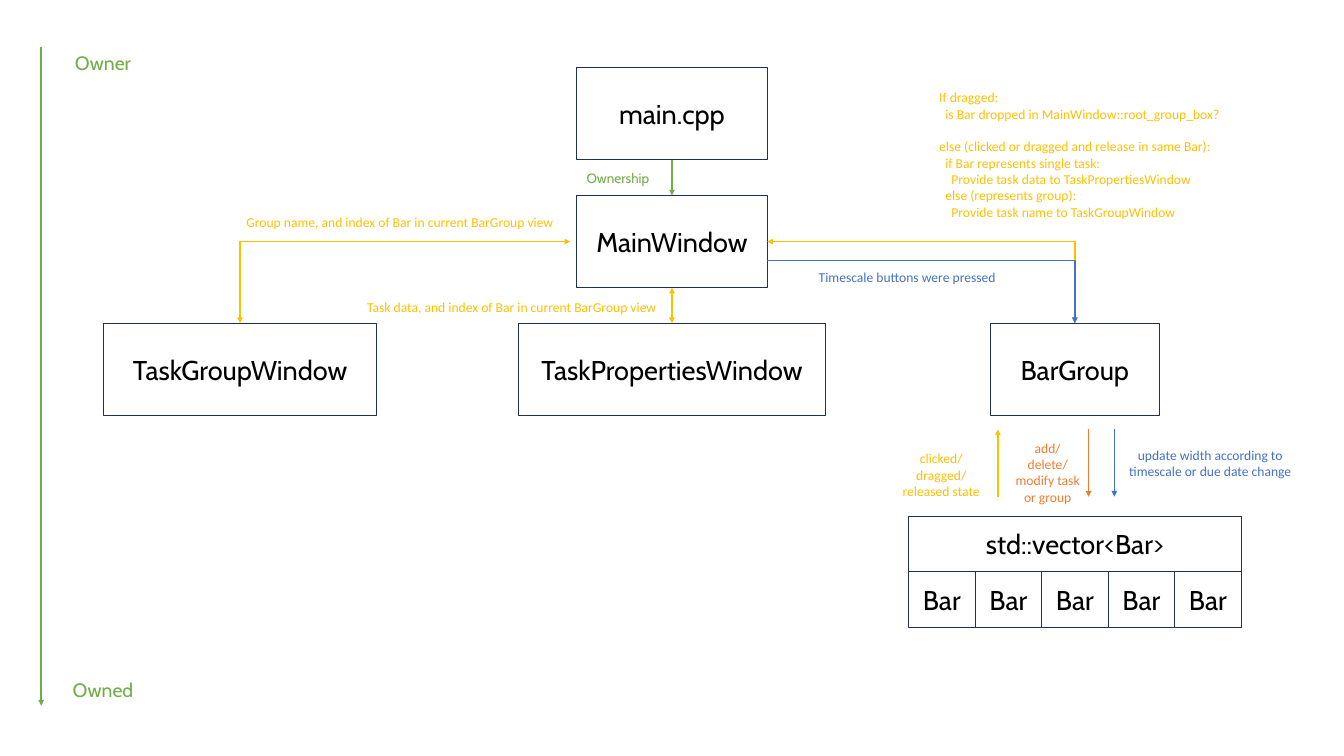
from lxml.etree import SubElement
from pptx import Presentation
from pptx.dml.color import RGBColor as RGB
from pptx.enum.shapes import MSO_CONNECTOR as Link, MSO_SHAPE as Preset
from pptx.enum.text import MSO_ANCHOR as Anchor, MSO_AUTO_SIZE as Fit, PP_ALIGN as Align
from pptx.oxml.ns import qn
from pptx.util import Pt

# Theme
THEME = {
    "ink": "000000", "frame": "1E3256", "owner": "70AD47", "click": "FFC000",
    "edit": "ED7D31", "time": "4472C4",
    "heading": "Cabin", "body": "Calibri",
    "box_size": 28, "scale_size": 20, "note_size": 14,
    "frame_width": 1, "arrow_width": 1.5,
}

# Windows: name -> (centre x, row, width)
MIDDLE, LEFT, RIGHT = 693.3, 247.7, 1109
WINDOWS = {
    "main.cpp": (MIDDLE, 0, 196.6),
    "MainWindow": (MIDDLE, 1, 196.6),
    "BarGroup": (RIGHT, 2, 175),
    "TaskPropertiesWindow": (MIDDLE, 2, 316),
    "TaskGroupWindow": (LEFT, 2, 282.2),
}
ROW_TOP, ROW_PITCH, WINDOW_HEIGHT = 70, 131.7, 95

# Bar vector
VECTOR, BARS = "std::vector<Bar>", ["Bar"] * 5
VECTOR_LEFT, VECTOR_TOP, BAR_WIDTH, BAR_HEIGHT = 937.4, 532.6, 68.65, 57.3

# Labels: text, colour, font, size, (left, top, width, height)
LABELS = [
    ("clicked/dragged/released state", "click", "body", "note_size", (918.7, 460.8, 105, 41)),
    ("add/delete/modify task or group", "edit", "body", "note_size", (1039, 450, 84, 58)),
    ("update width according to timescale or due date change", "time", "body", "note_size",
     (1157.8, 457.2, 182, 41)),
    ("Timescale buttons were pressed", "time", "body", "note_size", (831.6, 274.3, 209, 24.5)),
    ("Group name, and index of Bar in current BarGroup view", "click", "body", "note_size",
     (244.8, 216.7, 336, 24.5)),
    ("Task data, and index of Bar in current BarGroup view", "click", "body", "note_size",
     (364, 304.6, 328.3, 24.5)),
    ("Ownership", "owner", "heading", "note_size", (594.7, 171.4, 85.7, 24.5)),
    ("Owner", "owner", "heading", "scale_size", (63.4, 49, 85.7, 31.7)),
    ("Owned", "owner", "heading", "scale_size", (63.4, 695.5, 85.7, 31.7)),
]

# Drag rules: (indent level, space before, line)
DRAG_RULES = [
    (0, 0, "If dragged:"),
    (1, 0, "is Bar dropped in MainWindow::root_group_box?"),
    (0, 17, "else (clicked or dragged and release in same Bar):"),
    (1, 0, "if Bar represents single task:"),
    (2, 0, "Provide task data to TaskPropertiesWindow"),
    (1, 0, "else (represents group):"),
    (2, 0, "Provide task name to TaskGroupWindow"),
]
RULES_AREA, INDENT = (962, 88.6, 303.8, 143.3), 6.3

deck = Presentation()
deck.slide_width, deck.slide_height = Pt(1386.7), Pt(779.8)
slide = deck.slides.add_slide(deck.slide_layouts[6])


def apply(target, values):
    for name, value in values.items():
        setattr(target, name, value)


def write(paragraph, words, colour, font, size, align):
    paragraph.alignment = align
    run = paragraph.add_run()
    run.text = words
    apply(run.font, {"name": THEME[font], "size": Pt(THEME[size])})
    run.font.color.rgb = RGB.from_string(THEME[colour])


def box(words, *area):
    frame = slide.shapes.add_shape(Preset.RECTANGLE, *map(Pt, area))
    frame.shadow.inherit = False
    frame.fill.background()
    frame.line.color.rgb = RGB.from_string(THEME["frame"])
    frame.line.width = Pt(THEME["frame_width"])
    apply(frame.text_frame, {"vertical_anchor": Anchor.MIDDLE, "word_wrap": False})
    write(frame.text_frame.paragraphs[0], words, "ink", "heading", "box_size", Align.CENTER)
    return frame


def text_area(area):
    frame = slide.shapes.add_textbox(*map(Pt, area)).text_frame
    apply(frame, {"word_wrap": True, "auto_size": Fit.SHAPE_TO_FIT_TEXT})
    return frame


def arrow(colour, start, end, both=False, bent=False):
    kind = Link.ELBOW if bent else Link.STRAIGHT
    link = slide.shapes.add_connector(kind, *map(Pt, start + end))
    link.line.color.rgb = RGB.from_string(THEME[colour])
    link.line.width = Pt(THEME["arrow_width"])
    for tag in ("a:headEnd", "a:tailEnd") if both else ("a:tailEnd",):
        SubElement(link.line._get_or_add_ln(), qn(tag), type="triangle")
    properties = link._element.spPr
    SubElement(properties, qn("a:effectLst"))
    if bent:  # a single corner
        properties.find(qn("a:prstGeom")).set("prst", "bentConnector2")
    return link


# Windows
row_tops = [ROW_TOP + row * ROW_PITCH for row in range(3)]
windows = {
    name: box(name, centre - width / 2, row_tops[row], width, WINDOW_HEIGHT)
    for name, (centre, row, width) in WINDOWS.items()
}

# Bar vector
for index, bar in enumerate(BARS):
    box(bar, VECTOR_LEFT + index * BAR_WIDTH, VECTOR_TOP + BAR_HEIGHT, BAR_WIDTH, BAR_HEIGHT)
box(VECTOR, VECTOR_LEFT, VECTOR_TOP, BAR_WIDTH * len(BARS), BAR_HEIGHT)

# Signals between BarGroup and its bars
upper, lower = 443, 512.4
arrow("click", (1029.6, lower), (1029.6, upper))
arrow("edit", (1123.2, upper), (1123.2, lower))
arrow("time", (1149.8, upper), (1149.8, lower))

# Signals of MainWindow
main_y = row_tops[1] + WINDOW_HEIGHT / 2
main_half = WINDOWS["MainWindow"][2] / 2
arrow("click", (MIDDLE + main_half, main_y), (RIGHT, row_tops[2]), both=True, bent=True)
arrow("time", (MIDDLE + main_half, main_y + 19.4), (RIGHT, row_tops[2]), bent=True)
arrow("click", (MIDDLE - main_half - 6.5, main_y), (LEFT, row_tops[2]), both=True, bent=True)

# Straight links, glued bottom to top
for colour, source, target, both in [
    ("click", "MainWindow", "TaskPropertiesWindow", True),
    ("owner", "main.cpp", "MainWindow", False),
]:
    top = row_tops[WINDOWS[target][1]]
    link = arrow(colour, (MIDDLE, top - ROW_PITCH + WINDOW_HEIGHT), (MIDDLE, top), both)
    link.begin_connect(windows[source], 2)
    link.end_connect(windows[target], 0)

# Ownership scale
arrow("owner", (42.5, 49), (42.5, 728))

# Labels
for words, colour, font, size, area in LABELS:
    write(text_area(area).paragraphs[0], words, colour, font, size, Align.CENTER)

# Drag rules
rules = text_area(RULES_AREA)
for index, (level, gap, words) in enumerate(DRAG_RULES):
    line = rules.add_paragraph() if index else rules.paragraphs[0]
    write(line, words, "click", "body", "note_size", Align.LEFT)
    line.space_before = Pt(gap)
    line._p.get_or_add_pPr().set("marL", str(Pt(INDENT * level)))

deck.save("out.pptx")
